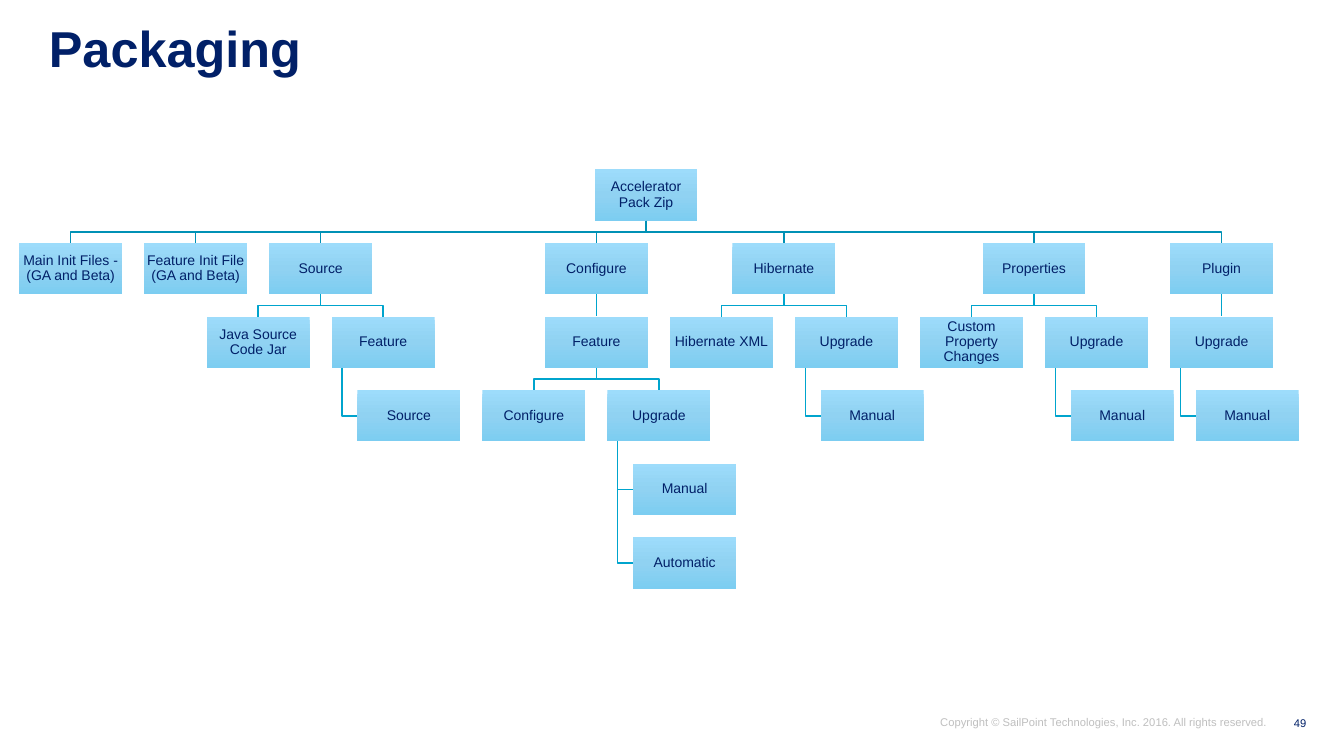
"""Build the Packaging slide: a tree of the files inside the accelerator pack."""
from copy import deepcopy
from dataclasses import dataclass

from pptx import Presentation
from pptx.dml.color import RGBColor
from pptx.enum.shapes import MSO_CONNECTOR as Connector, MSO_SHAPE as Preset
from pptx.enum.text import MSO_ANCHOR as Anchor, PP_ALIGN as Align
from pptx.oxml.ns import qn
from pptx.shapes.autoshape import Shape
from pptx.slide import Slide
from pptx.util import Inches, Length, Pt

WIDTH, HEIGHT = Inches(13.33), Inches(7.5)
LEFT, TOP = Inches(0.19), Inches(1.68)
COLUMN, ROW = Inches(1.24), Inches(0.73)
BOX_WIDTH, BOX_HEIGHT = Inches(1.02), Inches(0.51)
INDENT = BOX_WIDTH // 4
NAVY, GREY = "012068", "BFBFBF"
TRUNK, BRANCH = "0091B5", "00A4CD"
GRADIENT = ((0, "9DDCFB"), (0.5, "90D2F2"), (1, "7CCDF1"))


@dataclass(frozen=True)
class Node:
    label: str
    column: float
    indents: float = 0
    children: tuple["Node", ...] = ()
    stacked: tuple[str, ...] = ()


@dataclass(frozen=True)
class Caption:
    text: str
    left: float
    top: float
    width: float
    height: float
    size: float
    color: str
    bold: bool = False
    align: Align = Align.RIGHT
    anchor: Anchor = Anchor.MIDDLE
    inset: tuple[float, float] = (0, 0)
    spacing: float = 1


TREE = Node("Accelerator Pack Zip", 4.5, 0.5, (
    Node("Main Init Files - (GA and Beta)", 0),
    Node("Feature Init File (GA and Beta)", 1),
    Node("Source", 2, 0, (
        Node("Java Source Code Jar", 1.5),
        Node("Feature", 2.5, stacked=("Source",)))),
    Node("Configure", 4, 1, (
        Node("Feature", 4, 1, (
            Node("Configure", 3.5, 1),
            Node("Upgrade", 4.5, 1, stacked=("Manual", "Automatic")))),)),
    Node("Hibernate", 5.5, 1, (
        Node("Hibernate XML", 5, 1),
        Node("Upgrade", 6, 1, stacked=("Manual",)))),
    Node("Properties", 7.5, 1, (
        Node("Custom Property Changes", 7, 1),
        Node("Upgrade", 8, 1, stacked=("Manual",)))),
    Node("Plugin", 9, 1, (
        Node("Upgrade", 9, 1, stacked=("Manual",)),)),
))

CAPTIONS = (
    Caption("Copyright © SailPoint Technologies, Inc. 2016. All rights reserved.",
            0.686, 0.944, 0.257, 0.023, 8, GREY),
    Caption("49", 0.941, 0.932, 0.031, 0.049, 8, NAVY),
    Caption("Packaging", 0.029, 0.025, 0.645, 0.12, 36, NAVY, True,
            Align.LEFT, Anchor.TOP, (0.1, 0.05), 0.9),
)


def rgb(value: str) -> RGBColor:
    """Return the colour for a hex string."""
    return RGBColor.from_string(value)


def write(shape: Shape, text: str, size: float, color: str, align: Align,
          anchor: Anchor, inset: tuple[float, float], spacing: float,
          bold: bool = False) -> None:
    """Put one formatted paragraph into a shape."""
    frame = shape.text_frame
    frame.text = text
    frame.word_wrap = True
    frame.vertical_anchor = anchor
    frame.margin_left = frame.margin_right = Inches(inset[0])
    frame.margin_top = frame.margin_bottom = Inches(inset[1])
    paragraph = frame.paragraphs[0]
    paragraph.alignment = align
    paragraph.line_spacing = spacing
    font = paragraph.runs[0].font
    font.name, font.size, font.bold = "Arial", Pt(size), bold
    font.color.rgb = rgb(color)


def draw_caption(slide: Slide, caption: Caption) -> None:
    """Draw a text box placed by shares of the slide."""
    box = slide.shapes.add_textbox(
        round(caption.left * WIDTH), round(caption.top * HEIGHT),
        round(caption.width * WIDTH), round(caption.height * HEIGHT))
    write(box, caption.text, caption.size, caption.color, caption.align,
          caption.anchor, caption.inset, caption.spacing, caption.bold)


def draw_box(slide: Slide, label: str, column: float, indents: float, row: int) -> Shape:
    """Draw a gradient box at a grid place."""
    box = slide.shapes.add_shape(
        Preset.RECTANGLE, round(LEFT + column * COLUMN + indents * INDENT),
        TOP + row * ROW, BOX_WIDTH, BOX_HEIGHT)
    box.shadow.inherit = False
    box.line.fill.background()
    box.fill.gradient()
    box.fill.gradient_angle = 270
    stop_list = next(box._element.iter(qn("a:gsLst")))
    stop_list.insert(1, deepcopy(stop_list[0]))
    for stop, (position, color) in zip(box.fill.gradient_stops, GRADIENT):
        stop.position = position
        stop.color.rgb = rgb(color)
    write(box, label, 10, NAVY, Align.CENTER, Anchor.MIDDLE, (0.01, 0.01), 0.9)
    return box


def draw_path(slide: Slide, points: list[tuple[Length, Length]], color: str) -> None:
    """Draw an open line through the points."""
    builder = slide.shapes.build_freeform(*points[0], scale=1.0)
    builder.add_line_segments(points[1:], close=False)
    path = builder.convert_to_shape()
    path.shadow.inherit = False
    path.fill.background()
    path.line.color.rgb = rgb(color)
    path.line.width = Pt(1)


def draw_drop(slide: Slide, parent: Shape, child: Shape, color: str) -> None:
    """Join a box to the one straight below it."""
    drop = slide.shapes.add_connector(Connector.STRAIGHT, 0, 0, 0, 0)
    drop.begin_connect(parent, 2)
    drop.end_connect(child, 0)
    drop.line.color.rgb = rgb(color)
    drop.line.width = Pt(1)
    drop._element.spPr.append(drop._element.makeelement(qn("a:effectLst"), {}))


def draw_fork(slide: Slide, parent: Shape, child: Shape, color: str) -> None:
    """Join a box to one below it and to the side."""
    start, end = (box.left + BOX_WIDTH // 2 for box in (parent, child))
    bottom = parent.top + BOX_HEIGHT
    middle = (bottom + child.top) // 2
    draw_path(slide, [(start, bottom), (start, middle), (end, middle),
                      (end, child.top)], color)


def draw_hook(slide: Slide, parent: Shape, child: Shape) -> None:
    """Join a box to the left side of a stacked one."""
    start = parent.left + BOX_WIDTH // 10
    middle = child.top + BOX_HEIGHT // 2
    draw_path(slide, [(start, parent.top + BOX_HEIGHT), (start, middle),
                      (child.left, middle)], BRANCH)


def draw_node(slide: Slide, node: Node, row: int = 0) -> Shape:
    """Draw a node with everything below it."""
    box = draw_box(slide, node.label, node.column, node.indents, row)
    color = BRANCH if row else TRUNK
    for child in node.children:
        child_box = draw_node(slide, child, row + 1)
        join = draw_drop if child_box.left == box.left else draw_fork
        join(slide, box, child_box, color)
    for child_row, label in enumerate(node.stacked, row + 1):
        draw_hook(slide, box, draw_box(slide, label, node.column,
                                       node.indents + 1, child_row))
    return box


def main() -> None:
    """Build and save the slide."""
    presentation = Presentation()
    presentation.slide_width, presentation.slide_height = WIDTH, HEIGHT
    slide = presentation.slides.add_slide(presentation.slide_layouts[6])
    draw_node(slide, TREE)
    for caption in CAPTIONS:
        draw_caption(slide, caption)
    presentation.save("out.pptx")


if __name__ == "__main__":
    main()
